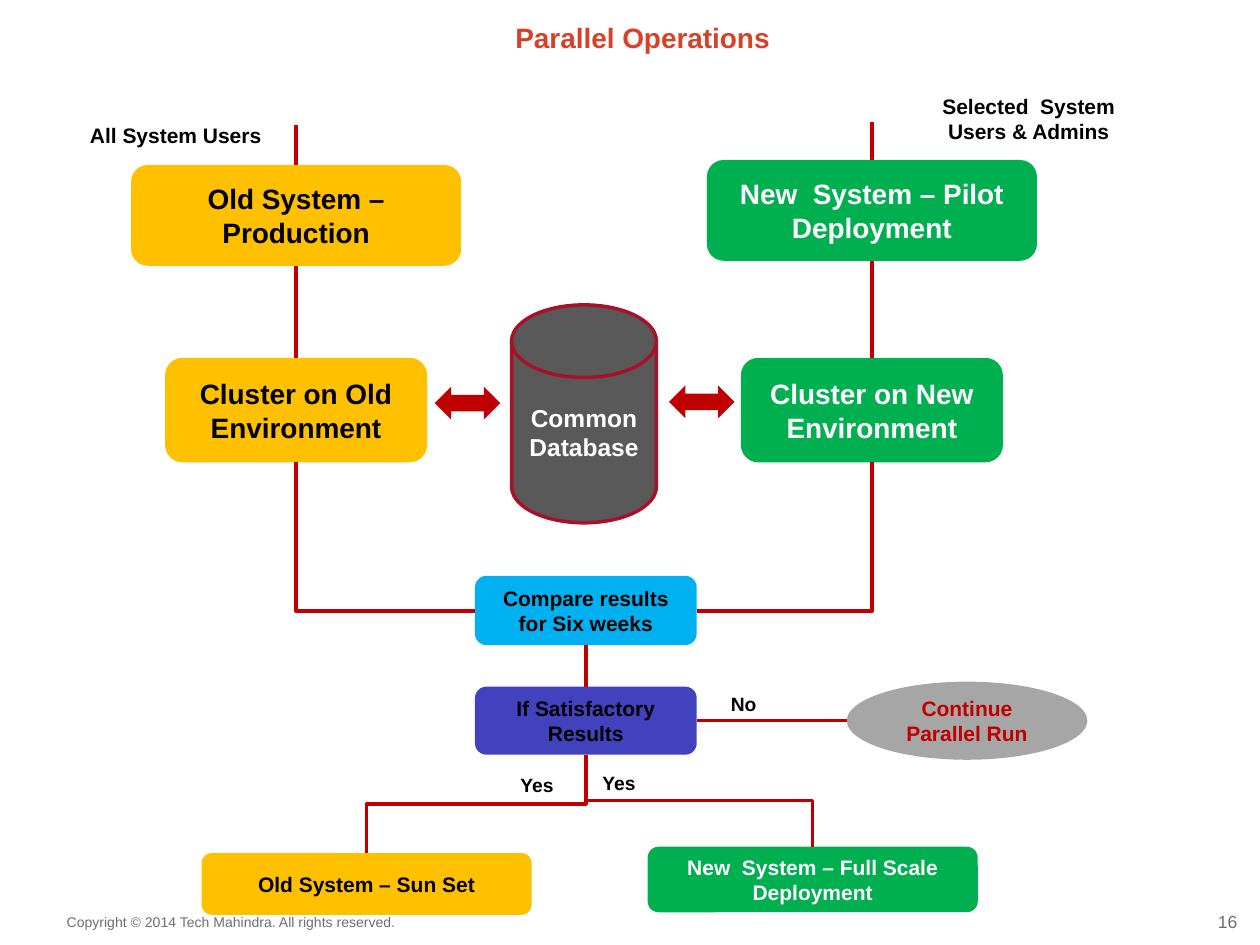
from typing import NamedTuple

from pptx import Presentation
from pptx.dml.color import RGBColor
from pptx.enum.shapes import MSO_CONNECTOR as Connector, MSO_SHAPE as Shape
from pptx.enum.text import MSO_ANCHOR as Anchor, MSO_AUTO_SIZE as AutoSize, PP_ALIGN as Align
from pptx.oxml.ns import qn
from pptx.oxml.xmlchemy import OxmlElement
from pptx.util import Inches, Pt

FONT = "Arial"
BLACK, WHITE, RED = "000000", "FFFFFF", "C00000"
AMBER, GREEN, GREY = "FFC000", "00B050", "6D6E71"
TOP, BOTTOM, RIGHT = 0, 2, 3


class Step(NamedTuple):
    wording: str
    left: float
    top: float
    width: float
    height: float
    fill: str
    color: str = BLACK
    size: int = 12
    outline: str = ""
    preset: Shape = Shape.ROUNDED_RECTANGLE


class Label(NamedTuple):
    wording: str
    left: float
    top: float
    width: float
    height: float
    size: int = 11
    align: Align = Align.LEFT
    color: str = BLACK
    bold: bool = True
    wrap: bool = True


class Elbow(NamedTuple):
    start: tuple[float, float]
    end: tuple[float, float]
    preset: str


def rgb(value: str) -> RGBColor:
    return RGBColor.from_string(value)


def write(frame, wording: str, size: int, color: str, align: Align, bold: bool = True) -> None:
    paragraph = frame.paragraphs[0]
    paragraph.alignment = align
    run = paragraph.add_run()
    run.text = wording
    run.font.name = FONT
    run.font.size = Pt(size)
    run.font.bold = bold
    run.font.color.rgb = rgb(color)


def clear_margins(frame) -> None:
    frame.margin_left = frame.margin_right = frame.margin_top = frame.margin_bottom = 0


def draw_step(slide, step: Step):
    box = slide.shapes.add_shape(
        step.preset, Inches(step.left), Inches(step.top), Inches(step.width), Inches(step.height))
    box.shadow.inherit = False
    box.fill.solid()
    box.fill.fore_color.rgb = rgb(step.fill)
    if step.outline:
        box.line.color.rgb = rgb(step.outline)
        box.line.width = Pt(2)
    else:
        box.line.fill.background()
    if step.wording:
        box.text_frame.word_wrap = True
        box.text_frame.vertical_anchor = Anchor.MIDDLE
        write(box.text_frame, step.wording, step.size, step.color, Align.CENTER)
    return box


def draw_label(slide, label: Label) -> None:
    frame = slide.shapes.add_textbox(
        Inches(label.left), Inches(label.top), Inches(label.width), Inches(label.height)).text_frame
    frame.word_wrap = label.wrap
    clear_margins(frame)
    write(frame, label.wording, label.size, label.color, label.align, label.bold)


def draw_line(slide, start: tuple[float, float], end: tuple[float, float], kind=Connector.STRAIGHT):
    line = slide.shapes.add_connector(kind, *(Inches(value) for value in (*start, *end)))
    line.line.color.rgb = rgb(RED)
    line.line.width = Pt(2)
    line._element.spPr.append(OxmlElement("a:effectLst"))
    return line


def join(slide, source, source_side: int, target, target_side: int) -> None:
    line = draw_line(slide, (0, 0), (1, 1))
    line.begin_connect(source, source_side)
    line.end_connect(target, target_side)


def draw_elbow(slide, elbow: Elbow) -> None:
    (x1, y1), (x2, y2) = elbow.start, elbow.end
    length, breadth = y2 - y1, abs(x2 - x1)
    left, top = (x1 + x2 - length) / 2, (y1 + y2 - breadth) / 2
    line = draw_line(slide, (left, top), (left + length, top + breadth), Connector.ELBOW)
    properties = line._element.spPr
    frame = properties.find(qn("a:xfrm"))
    frame.set("rot", str((90 if x2 < x1 else 270) * 60000))
    if x2 > x1:
        frame.set("flipH", "1")
    properties.find(qn("a:prstGeom")).set("prst", elbow.preset)


STEPS = {
    "old": Step("Old System – Production", 1.04, 1.31, 2.62, 0.8, AMBER, size=16),
    "pilot": Step("New  System – Pilot Deployment", 5.61, 1.27, 2.62, 0.8, GREEN, WHITE, 16),
    "database": Step("Common Database", 4.06, 2.42, 1.15, 1.73, "595959", WHITE, 14,
                     "A81229", Shape.FLOWCHART_MAGNETIC_DISK),
    "compare": Step("Compare results for Six weeks", 3.77, 4.57, 1.76, 0.55, "00B0F0"),
    "sunset": Step("Old System – Sun Set", 1.6, 6.77, 2.62, 0.49, AMBER),
    "full scale": Step("New  System – Full Scale Deployment", 5.14, 6.72, 2.62, 0.52, GREEN, WHITE),
    "satisfactory": Step("If Satisfactory Results", 3.77, 5.45, 1.76, 0.54, "4242BE"),
    "continue": Step("Continue Parallel Run", 6.72, 5.41, 1.91, 0.62, "A6A6A6", RED,
                     preset=Shape.OVAL),
    "old cluster": Step("Cluster on Old Environment", 1.31, 2.84, 2.08, 0.83, AMBER, size=16),
    "new cluster": Step("Cluster on New Environment", 5.88, 2.84, 2.08, 0.83, GREEN, WHITE, 16),
    "old sync": Step("", 3.45, 3.07, 0.52, 0.26, RED, preset=Shape.LEFT_RIGHT_ARROW),
    "new sync": Step("", 5.31, 3.06, 0.52, 0.26, RED, preset=Shape.LEFT_RIGHT_ARROW),
}

LABELS = [
    Label("16", 9.65, 7.23, 0.17, 0.17, 10, Align.RIGHT, GREY, False, False),
    Label("Copyright © 2014 Tech Mahindra. All rights reserved.",
          0.53, 7.25, 2.66, 0.14, 8, Align.LEFT, GREY, False, False),
    Label("Yes", 4.13, 6.14, 0.62, 0.19),
    Label("Yes", 4.78, 6.12, 0.62, 0.19),
    Label("No", 5.8, 5.49, 0.62, 0.19),
    Label("All System Users", 0.71, 0.97, 1.37, 0.2, 12, Align.CENTER),
    Label("Selected  System Users & Admins", 7.43, 0.74, 1.47, 0.4, 12, Align.CENTER),
]

ELBOWS = [
    Elbow((4.65, 5.99), (2.91, 6.77), "bentConnector3"),
    Elbow((4.65, 5.99), (6.45, 6.72), "bentConnector3"),
    Elbow((6.92, 3.67), (5.53, 4.85), "bentConnector2"),
    Elbow((2.35, 3.67), (3.77, 4.85), "bentConnector2"),
]


def add_title(slide) -> None:
    title = slide.shapes.title
    title.left, title.top = Inches(0.6), Inches(0.06)
    title.width, title.height = Inches(9), Inches(0.37)
    frame = title.text_frame
    frame.auto_size = AutoSize.NONE
    frame.vertical_anchor = Anchor.BOTTOM
    clear_margins(frame)
    write(frame, "Parallel Operations", 16, "D84027", Align.CENTER)


def main() -> None:
    deck = Presentation()
    deck.slide_width, deck.slide_height = Inches(10), Inches(7.5)
    slide = deck.slides.add_slide(deck.slide_layouts[5])
    add_title(slide)
    boxes = {name: draw_step(slide, step) for name, step in STEPS.items()}
    for label in LABELS:
        draw_label(slide, label)
    for elbow in ELBOWS:
        draw_elbow(slide, elbow)
    for source, target in (("old", "old cluster"), ("pilot", "new cluster"),
                           ("compare", "satisfactory")):
        join(slide, boxes[source], BOTTOM, boxes[target], TOP)
    draw_line(slide, (2.35, 0.99), (2.35, 1.31)).end_connect(boxes["old"], TOP)
    draw_line(slide, (6.92, 0.97), (6.92, 1.27)).end_connect(boxes["pilot"], TOP)
    draw_line(slide, (5.53, 5.72), (6.72, 5.72)).begin_connect(boxes["satisfactory"], RIGHT)
    deck.save("out.pptx")


if __name__ == "__main__":
    main()
